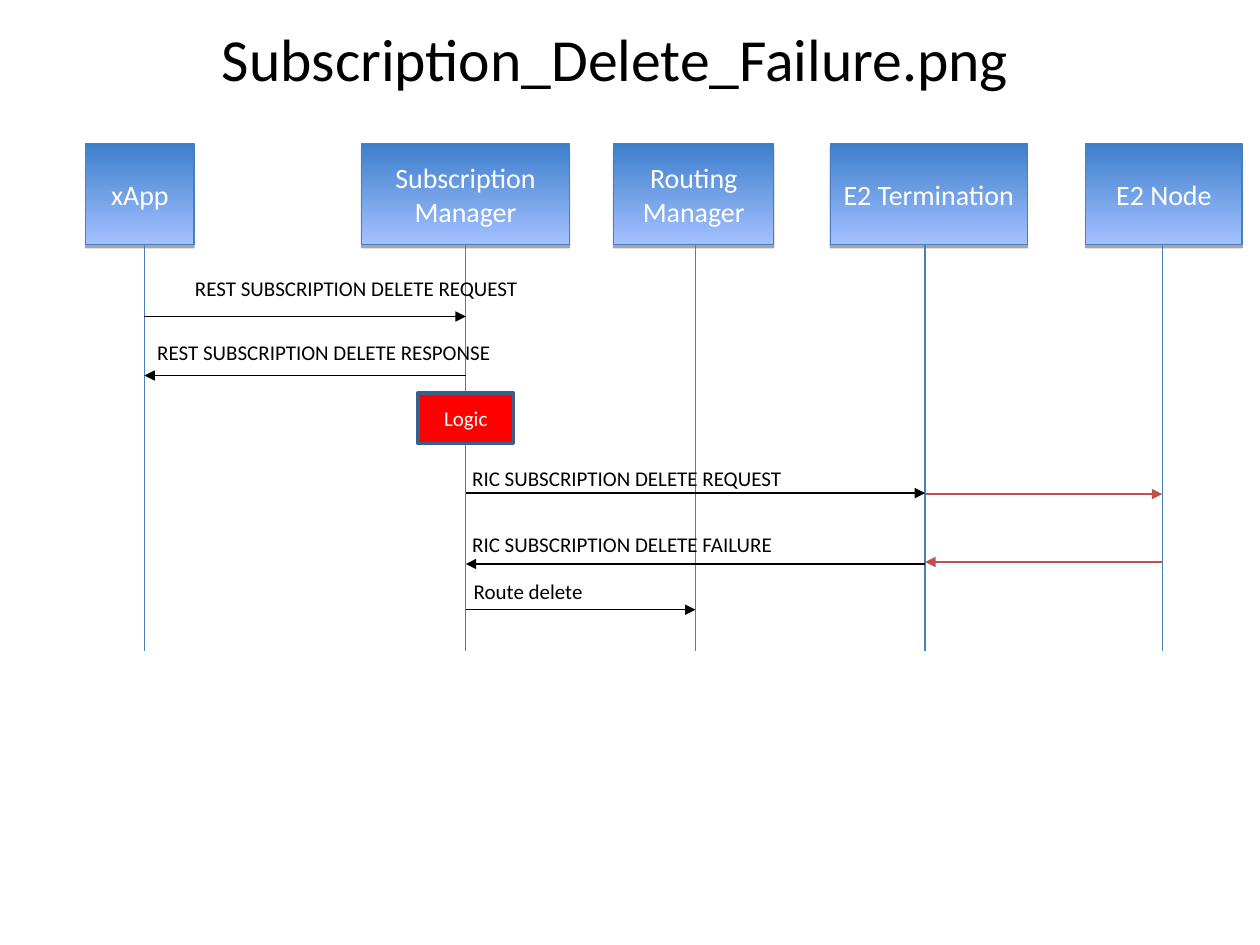
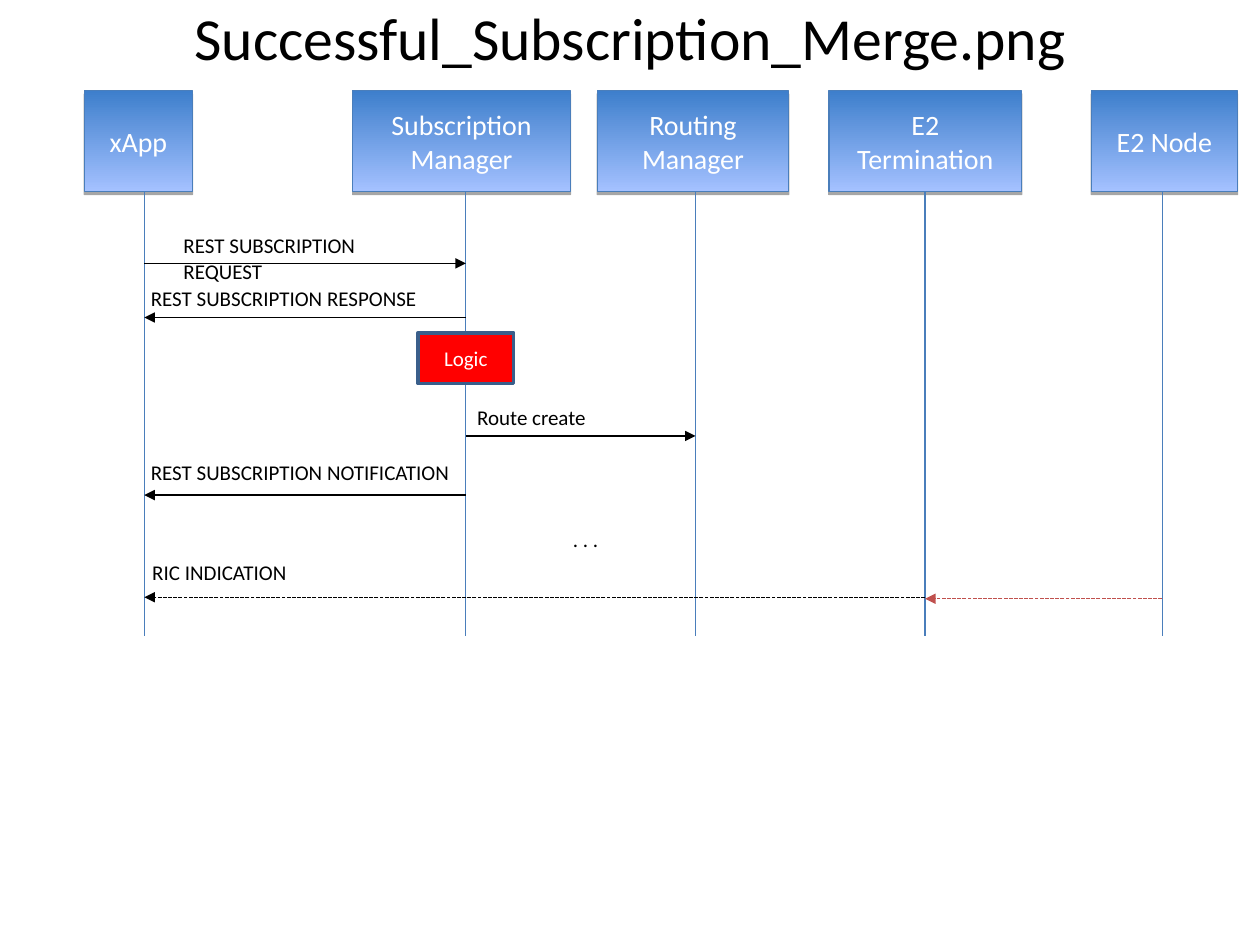
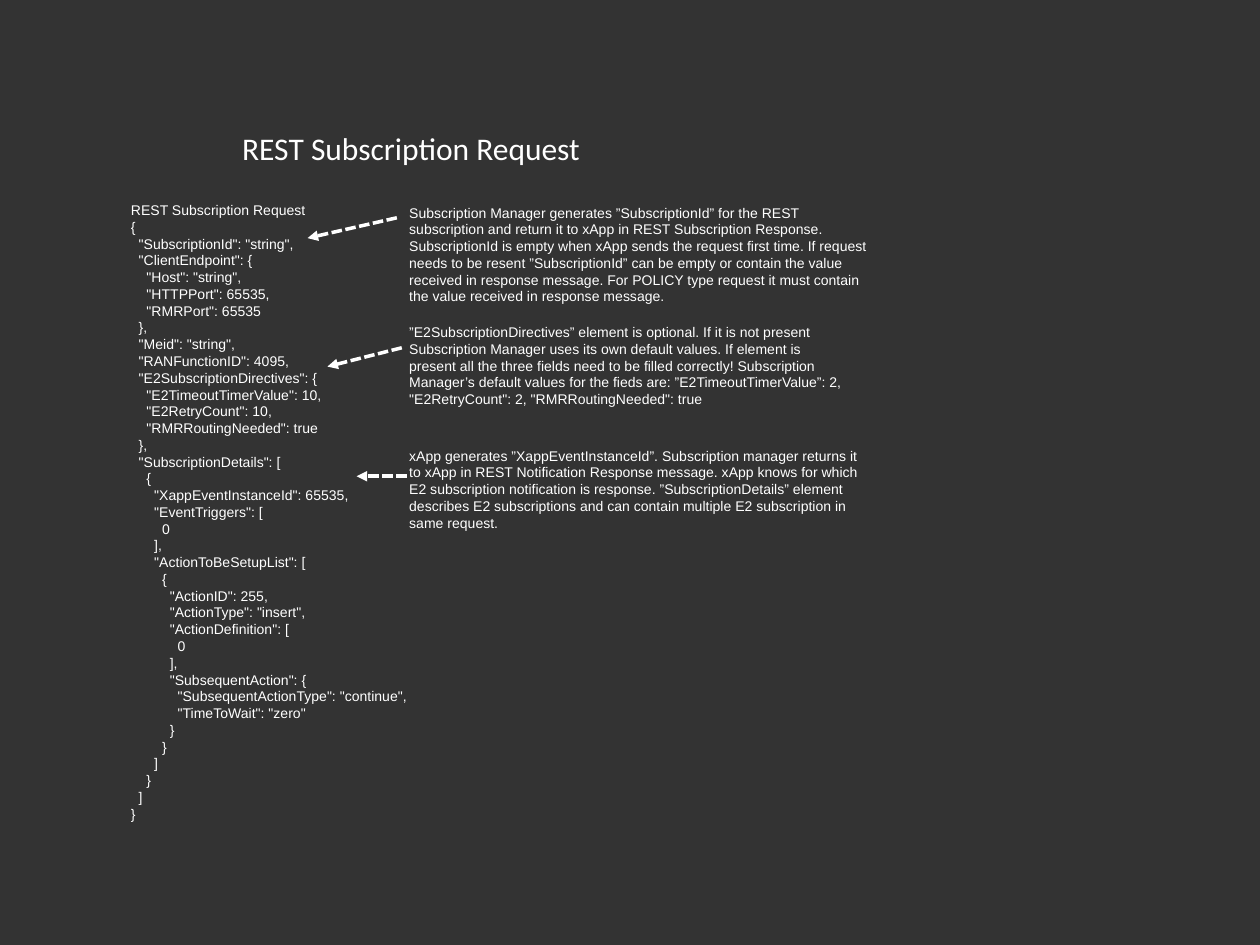
"""Build the subscription sequence diagrams and the annotated REST request."""
from typing import NamedTuple, Optional

from lxml.etree import SubElement
from pptx import Presentation
from pptx.dml.color import RGBColor
from pptx.enum.dml import MSO_LINE
from pptx.enum.shapes import MSO_CONNECTOR, MSO_SHAPE
from pptx.enum.text import MSO_ANCHOR, MSO_AUTO_SIZE, PP_ALIGN
from pptx.oxml.ns import qn
from pptx.util import Cm, Pt

BLACK = RGBColor(0x00, 0x00, 0x00)
WHITE = RGBColor(0xFF, 0xFF, 0xFF)
DARK = RGBColor(0x33, 0x33, 0x33)
RED = RGBColor(0xFF, 0x00, 0x00)
BRICK = RGBColor(0xC0, 0x50, 0x4D)
BLUE = RGBColor(0x4A, 0x7E, 0xBB)
NAVY = RGBColor(0x3A, 0x5F, 0x8B)
GRADIENT = (RGBColor(0x3E, 0x7F, 0xCC), RGBColor(0xA4, 0xC1, 0xFF))

XAPP, SUBMGR, RTMGR, E2TERM, E2NODE = range(5)
ACTORS = ("xApp", "Subscription Manager", "Routing\nManager", "E2 Termination", "E2 Node")
LANES = (2.91, 9.39, 14.02, 18.65, 23.43)
BOX_HEIGHT = 2.03
LOGIC_SIZE = (1.93, 1.02)
LABEL_HEIGHT = 0.77


class Span(NamedTuple):
    left: float
    width: float


class Label(NamedTuple):
    text: str
    left: float
    top: float
    width: float
    wrap: bool = True


class Message(NamedTuple):
    src: int
    dst: int
    y: float
    label: Optional[Label] = None
    color: RGBColor = BLACK
    dashed: bool = False


class Diagram(NamedTuple):
    title: str
    title_at: tuple[float, float]
    top: float
    bottom: float
    spans: tuple[Span, ...]
    logic_top: float
    messages: tuple[Message, ...]
    extra: tuple[Label, ...] = ()


class Note(NamedTuple):
    text: str
    top: float
    width: float
    height: float
    arrow: tuple[float, float, float, float]


DIAGRAMS = (
    Diagram(
        "Subscription_Delete_Failure.png", (0.97, 0.56), 2.9, 13.13,
        (Span(1.73, 2.18), Span(7.29, 4.19), Span(12.37, 3.23), Span(16.74, 3.97), Span(21.89, 3.15)),
        7.92,
        (
            Message(XAPP, SUBMGR, 6.38, Label("REST SUBSCRIPTION DELETE REQUEST", 3.68, 5.44, 7.01, False)),
            Message(SUBMGR, XAPP, 7.57, Label("REST SUBSCRIPTION DELETE RESPONSE", 2.92, 6.73, 9.17)),
            Message(SUBMGR, E2TERM, 9.94, Label("RIC SUBSCRIPTION DELETE REQUEST", 9.27, 9.27, 8.43)),
            Message(E2TERM, E2NODE, 9.96, color=BRICK),
            Message(E2NODE, E2TERM, 11.33, color=BRICK),
            Message(E2TERM, SUBMGR, 11.37, Label("RIC SUBSCRIPTION DELETE FAILURE", 9.27, 10.59, 8.23)),
            Message(SUBMGR, RTMGR, 12.29, Label("Route delete", 9.3, 11.53, 3.51)),
        ),
    ),
    Diagram(
        "Successful_Subscription_Merge.png", (1.27, 0.13), 1.83, 12.83,
        (Span(1.7, 2.18), Span(7.11, 4.39), Span(12.04, 3.86), Span(16.71, 3.89), Span(22, 2.95)),
        6.71,
        (
            Message(XAPP, SUBMGR, 5.31, Label("REST SUBSCRIPTION REQUEST", 3.45, 4.57, 5.64, False)),
            Message(SUBMGR, XAPP, 6.4, Label("REST SUBSCRIPTION RESPONSE", 2.79, 5.64, 7.49)),
            Message(SUBMGR, RTMGR, 8.79, Label("Route create", 9.37, 8.03, 3.71)),
            Message(SUBMGR, XAPP, 9.98, Label("REST SUBSCRIPTION NOTIFICATION", 2.79, 9.14, 8.41)),
            Message(E2TERM, XAPP, 12.04, Label("RIC INDICATION", 2.82, 11.15, 8), dashed=True),
            Message(E2NODE, E2TERM, 12.07, color=BRICK, dashed=True),
        ),
        (Label(". . .", 11.3, 10.49, 1.4),),
    ),
)

REQUEST = """REST Subscription Request
{
  "SubscriptionId": "string",
  "ClientEndpoint": {
    "Host": "string",
    "HTTPPort": 65535,
    "RMRPort": 65535
  },
  "Meid": "string",
  "RANFunctionID": 4095,
  "E2SubscriptionDirectives": {
    "E2TimeoutTimerValue": 10,
    "E2RetryCount": 10,
    "RMRRoutingNeeded": true
  },
  "SubscriptionDetails": [
    {
      "XappEventInstanceId": 65535,
      "EventTriggers": [
        0
      ],
      "ActionToBeSetupList": [
        {
          "ActionID": 255,
          "ActionType": "insert",
          "ActionDefinition": [
            0
          ],
          "SubsequentAction": {
            "SubsequentActionType": "continue",
            "TimeToWait": "zero"
          }
        }
      ]
    }
  ]
}"""

NOTES = (
    Note("Subscription Manager generates ”SubscriptionId” for the REST subscription and return it to xApp "
         "in REST Subscription Response. SubscriptionId is empty when xApp sends the request first time. "
         "If request needs to be resent ”SubscriptionId” can be empty or contain the value received in "
         "response message. For POLICY type request it must contain the value received in response message.",
         3.99, 9.8, 3.76, (8, 4.39, 6.2, 4.8)),
    Note("”E2SubscriptionDirectives” element is optional. If it is not present Subscription Manager uses "
         "its own default values. If element is present all the three fields need to be filled correctly! "
         "Subscription Manager’s default values for the fieds are: ”E2TimeoutTimerValue”: 2, "
         "\"E2RetryCount\": 2, \"RMRRoutingNeeded\": true",
         6.4, 9.4, 1.83, (8.1, 7.01, 6.6, 7.39)),
    Note("xApp generates ”XappEventInstanceId”. Subscription manager returns it to xApp in REST "
         "Notification Response message. xApp knows for which E2 subscription notification is response. "
         "”SubscriptionDetails” element describes E2 subscriptions and can contain multiple E2 "
         "subscription in same request.",
         8.89, 9.6, 2.11, (8.2, 9.6, 7.19, 9.6)),
)


def write(tf, text: str, size: float, color: RGBColor, font: str = "Calibri",
          align=PP_ALIGN.LEFT, spacing: Optional[float] = None) -> None:
    """Fill a text frame with one formatted paragraph per line."""
    for i, line in enumerate(text.split("\n")):
        p = tf.add_paragraph() if i else tf.paragraphs[0]
        p.alignment = align
        p.line_spacing = spacing
        r = p.add_run()
        r.text = line
        r.font.name = font
        r.font.size = Pt(size)
        r.font.color.rgb = color


def add_slide(prs, background: RGBColor, title: str, left: float, top: float,
              width: float, height: float, **fmt):
    """Add a title-only slide with a placed and formatted title."""
    slide = prs.slides.add_slide(prs.slide_layouts[5])
    slide.background.fill.solid()
    slide.background.fill.fore_color.rgb = background
    sp = slide.shapes.title
    sp.left, sp.top, sp.width, sp.height = Cm(left), Cm(top), Cm(width), Cm(height)
    tf = sp.text_frame
    tf.auto_size = MSO_AUTO_SIZE.NONE
    tf.vertical_anchor = MSO_ANCHOR.MIDDLE
    write(tf, title, **fmt)
    return slide


def add_text(slide, text: str, left: float, top: float, width: float, height: float,
             wrap: bool = True, **fmt) -> None:
    """Add a text box that grows with its text."""
    tf = slide.shapes.add_textbox(Cm(left), Cm(top), Cm(width), Cm(height)).text_frame
    tf.word_wrap = wrap
    tf.auto_size = MSO_AUTO_SIZE.SHAPE_TO_FIT_TEXT
    write(tf, text, **fmt)


def add_label(slide, label: Label) -> None:
    """Add a message label."""
    add_text(slide, label.text, label.left, label.top, label.width, LABEL_HEIGHT,
             wrap=label.wrap, size=12, color=BLACK)


def add_line(slide, x1: float, y1: float, x2: float, y2: float, color: RGBColor,
             weight: float = 0.75, arrow: bool = False, dashed: bool = False) -> None:
    """Draw a straight line, optionally dashed or ending in an arrowhead."""
    cxn = slide.shapes.add_connector(MSO_CONNECTOR.STRAIGHT, Cm(x1), Cm(y1), Cm(x2), Cm(y2))
    cxn.line.color.rgb = color
    cxn.line.width = Pt(weight)
    if dashed:
        cxn.line.dash_style = MSO_LINE.SQUARE_DOT
    if arrow:
        SubElement(cxn.line._get_or_add_ln(), qn("a:tailEnd"), type="triangle")
    SubElement(cxn._element.spPr, qn("a:effectLst"))


def add_box(slide, text: str, left: float, top: float, width: float, height: float,
            line: RGBColor, weight: float, size: float):
    """Add a rectangle with centred white text."""
    sp = slide.shapes.add_shape(MSO_SHAPE.RECTANGLE, Cm(left), Cm(top), Cm(width), Cm(height))
    sp.shadow.inherit = False
    sp.line.color.rgb = line
    sp.line.width = Pt(weight)
    tf = sp.text_frame
    tf.word_wrap = True
    tf.vertical_anchor = MSO_ANCHOR.MIDDLE
    write(tf, text, size, WHITE, align=PP_ALIGN.CENTER)
    return sp


def add_actor(slide, name: str, span: Span, top: float) -> None:
    """Add a gradient actor box with a drop shadow."""
    sp = add_box(slide, name, span.left, top, span.width, BOX_HEIGHT, BLUE, 0.75, 16)
    sp.fill.gradient()
    sp.fill.gradient_angle = 270
    for stop, position, color in zip(sp.fill.gradient_stops, (0, 1), GRADIENT):
        stop.position = position
        stop.color.rgb = color
    effects = sp._element.spPr.find(qn("a:effectLst"))
    shadow = SubElement(effects, qn("a:outerShdw"), blurRad="0", dist=str(Pt(1.8)),
                        dir="5400000", rotWithShape="0")
    color = SubElement(shadow, qn("a:srgbClr"), val=str(BLACK))
    SubElement(color, qn("a:alpha"), val="35000")


def add_diagram(prs, diagram: Diagram) -> None:
    """Add a slide with one sequence diagram."""
    slide = add_slide(prs, WHITE, diagram.title, *diagram.title_at, 22.86, 1.47,
                      size=34.1, color=BLACK, align=PP_ALIGN.CENTER, spacing=0.8)
    for name, span, x in zip(ACTORS, diagram.spans, LANES):
        add_actor(slide, name, span, diagram.top)
        add_line(slide, x, diagram.top + BOX_HEIGHT, x, diagram.bottom, BLUE)
    width, height = LOGIC_SIZE
    logic = add_box(slide, "Logic", LANES[SUBMGR] - width / 2, diagram.logic_top,
                    width, height, NAVY, 2, 12)
    logic.fill.solid()
    logic.fill.fore_color.rgb = RED
    for m in diagram.messages:
        add_line(slide, LANES[m.src], m.y, LANES[m.dst], m.y, m.color, arrow=True, dashed=m.dashed)
        if m.label:
            add_label(slide, m.label)
    for label in diagram.extra:
        add_label(slide, label)


def add_request(prs) -> None:
    """Add the slide with the annotated request body."""
    slide = add_slide(prs, DARK, "REST Subscription Request", 4.88, 2.01, 9.73, 1.93,
                      size=18, color=WHITE)
    tf = slide.shapes.title.text_frame
    tf.margin_left = tf.margin_right = tf.margin_top = tf.margin_bottom = 0
    body = dict(size=8, color=WHITE, font="Arial")
    add_text(slide, REQUEST, 2.39, 3.94, 6.4, 12.65, **body)
    for note in NOTES:
        add_text(slide, note.text, 8, note.top, note.width, note.height, **body)
        add_line(slide, *note.arrow, WHITE, weight=0, arrow=True, dashed=True)


def main() -> None:
    """Build and save the presentation."""
    prs = Presentation()
    prs.slide_width, prs.slide_height = Cm(25.4), Cm(19.05)
    for diagram in DIAGRAMS:
        add_diagram(prs, diagram)
    add_request(prs)
    prs.save("out.pptx")


if __name__ == "__main__":
    main()
